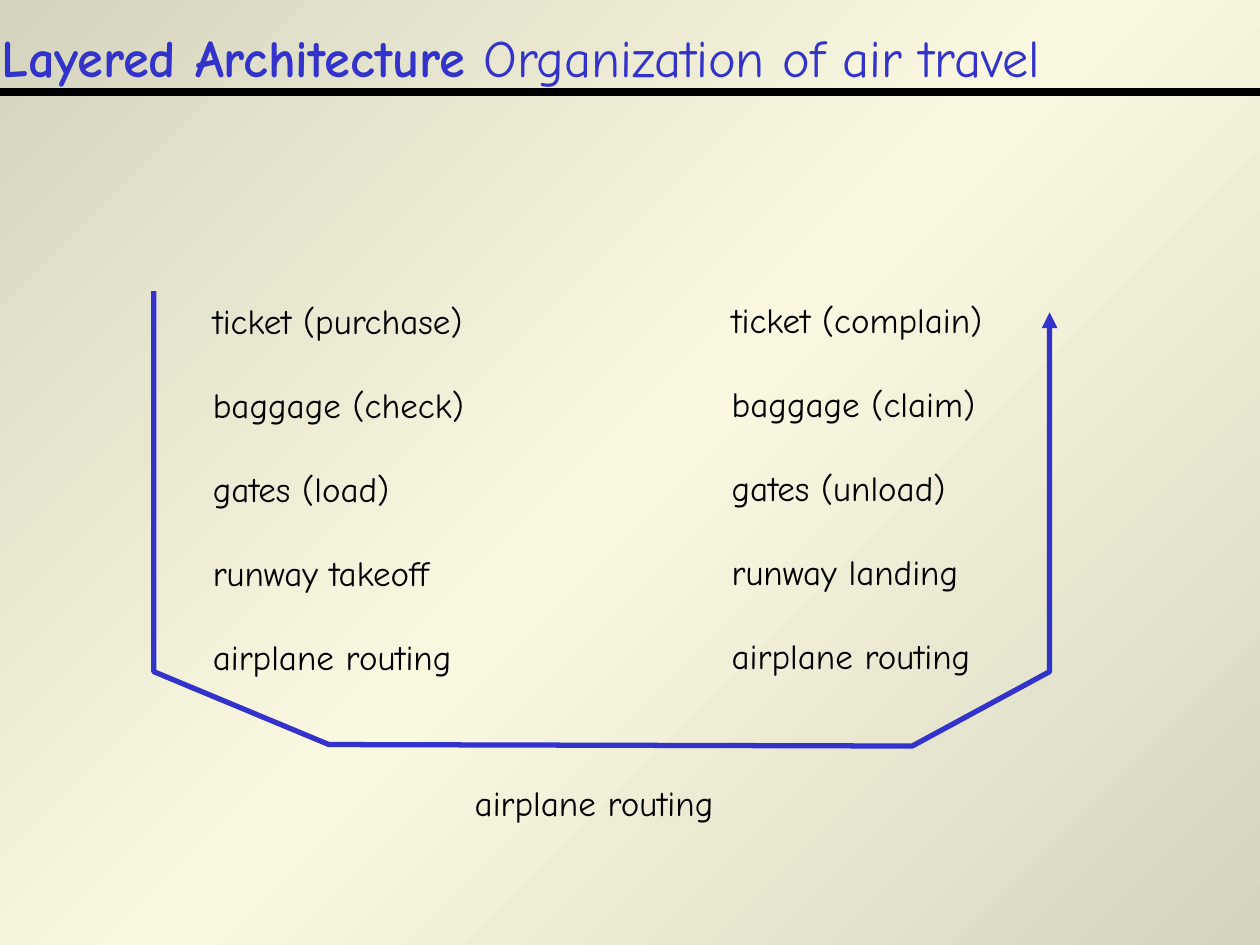
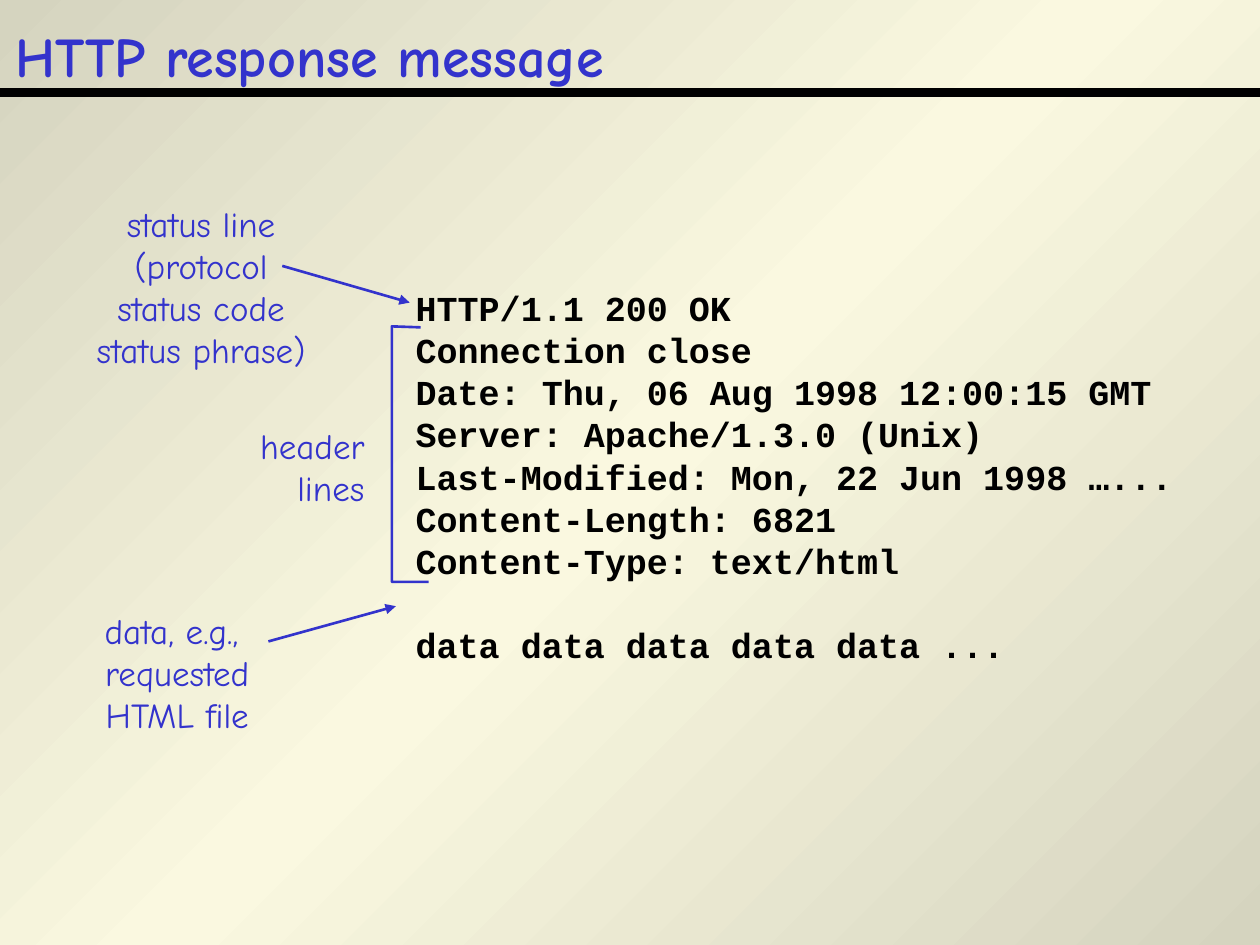
from copy import deepcopy

from pptx import Presentation
from pptx import util as u
from pptx.dml.color import RGBColor
from pptx.enum import shapes, text
from pptx.oxml.ns import qn
from lxml import etree

BLUE = RGBColor(0x33, 0x33, 0xCC)
BLACK = RGBColor(0, 0, 0)
SAND = RGBColor(0xD5, 0xD4, 0xBF)
CREAM = RGBColor(0xFA, 0xF8, 0xE0)

HAND = "Comic Neue"
CODE = "Courier New"
LINE_PITCH = u.Pt(24)
LEFT, CENTER, RIGHT = text.PP_ALIGN.LEFT, text.PP_ALIGN.CENTER, text.PP_ALIGN.RIGHT


class Deck:
    def __init__(self):
        self.prs = Presentation()
        self.prs.slide_width, self.prs.slide_height = u.Cm(25.4), u.Cm(19.05)
        self.slide = None
        self.paint_background()

    def paint_background(self):
        """Give the master a diagonal gradient, sand to cream and back."""
        master = self.prs.slide_master
        fill = master.background.fill
        fill.gradient()
        fill.gradient_angle = 315
        stops = master.element.find(".//" + qn("a:gsLst"))
        stops.insert(1, deepcopy(stops[0]))
        for stop, color, position in zip(fill.gradient_stops, (SAND, CREAM, SAND), (0, 0.5, 1)):
            stop.color.rgb = color
            stop.position = position

    def start_slide(self, title_parts, box, size, rule_width):
        """Add a slide with its title, given as (words, bold) pairs, over the double rule."""
        self.slide = self.prs.slides.add_slide(self.prs.slide_layouts[5])
        title = self.slide.shapes.title
        title.left, title.top, title.width, title.height = map(u.Cm, box)
        frame = title.text_frame
        frame.auto_size = text.MSO_AUTO_SIZE.NONE
        frame.vertical_anchor = text.MSO_ANCHOR.MIDDLE
        heading = frame.paragraphs[0]
        heading.alignment = LEFT
        for words, bold in title_parts:
            run = heading.add_run()
            run.text = words
            self.set_font(run.font, HAND, size, BLUE, bold)
        for y, width in ((1.83, 3), (1.9, rule_width)):
            self.line((0, y), (25.4, y), BLACK, width)

    def set_font(self, font, name, size, color, bold):
        font.name, font.size, font.bold = name, u.Pt(size), bold
        font.color.rgb = color

    def text(self, lines, box, color=BLACK, font=HAND, bold=False, align=LEFT, gaps=()):
        """Add a 20 pt text box; the lines numbered in gaps get one line of space before."""
        frame = self.slide.shapes.add_textbox(*map(u.Cm, box)).text_frame
        frame.word_wrap = False
        frame.auto_size = text.MSO_AUTO_SIZE.SHAPE_TO_FIT_TEXT
        frame.text = "\n".join(lines)
        for number, paragraph in enumerate(frame.paragraphs):
            paragraph.alignment = align
            paragraph.line_spacing = LINE_PITCH
            if number in gaps:
                paragraph.space_before = LINE_PITCH
            for run in paragraph.runs:
                self.set_font(run.font, font, 20, color, bold)

    def stroke(self, shape, color, width, arrow):
        shape.line.color.rgb = color
        shape.line.width = u.Pt(width)
        properties = shape.element.spPr
        if arrow:
            etree.SubElement(properties.find(qn("a:ln")), qn("a:tailEnd"), type="triangle")
        etree.SubElement(properties, qn("a:effectLst"))

    def line(self, start, end, color=BLUE, width=1.5, arrow=False):
        connector = self.slide.shapes.add_connector(
            shapes.MSO_CONNECTOR.STRAIGHT, *map(u.Cm, start + end))
        self.stroke(connector, color, width, arrow)

    def polyline(self, points, width, arrow=False):
        start, *rest = [(u.Cm(x), u.Cm(y)) for x, y in points]
        builder = self.slide.shapes.build_freeform(*start)
        builder.add_line_segments(rest, close=False)
        outline = builder.convert_to_shape()
        outline.fill.background()
        self.stroke(outline, BLUE, width, arrow)


def add_air_travel(deck):
    deck.start_slide([("Layered Architecture ", True), ("Organization of air travel", False)],
                     (-0.23, 0, 26.47, 2.26), 30, rule_width=2)
    departure = ["ticket (purchase)", "baggage (check)", "gates (load)",
                 "runway takeoff", "airplane routing"]
    arrival = ["ticket (complain)", "baggage (claim)", "gates (unload)",
               "runway landing", "airplane routing"]
    deck.text(departure, (4.04, 5.92, 5.59, 7.87), gaps=range(1, 5))
    deck.text(arrival, (14.5, 5.89, 5.56, 7.87), gaps=range(1, 5))
    deck.text(["airplane routing"], (9.32, 15.62, 5.33, 1.12))
    deck.polyline([(3.1, 5.87), (3.1, 13.54), (6.63, 15.01), (18.39, 15.04),
                   (21.16, 13.54), (21.16, 6.3)], 3, arrow=True)


def add_http_response(deck):
    deck.start_slide([("HTTP response message", True)], (0.05, 0.3, 18.62, 1.63), 32, rule_width=3)
    response = [
        "HTTP/1.1 200 OK",
        "Connection close",
        "Date: Thu, 06 Aug 1998 12:00:15 GMT",
        "Server: Apache/1.3.0 (Unix)",
        "Last-Modified: Mon, 22 Jun 1998 …...",
        "Content-Length: 6821",
        "Content-Type: text/html",
        "data data data data data ...",
    ]
    deck.text(response, (8.13, 5.66, 16.21, 7.87), font=CODE, bold=True, gaps=[7])
    deck.text(["status line", "(protocol", "status code", "status phrase)"],
              (1.68, 3.96, 4.75, 3.66), BLUE, align=CENTER)
    deck.line((5.69, 5.36), (8.26, 6.1), arrow=True)
    deck.polyline([(8.48, 6.6), (7.9, 6.58), (7.9, 11.73), (8.64, 11.73)], 1.5)
    deck.text(["header", "lines"], (4.98, 8.43, 2.62, 1.96), BLUE, align=RIGHT)
    deck.line((5.41, 12.93), (7.98, 12.22), arrow=True)
    deck.text(["data, e.g., ", "requested", "HTML file"],
              (1.85, 12.17, 3.45, 2.79), BLUE, align=CENTER)


def main():
    deck = Deck()
    add_air_travel(deck)
    add_http_response(deck)
    deck.prs.save("out.pptx")


if __name__ == "__main__":
    main()
